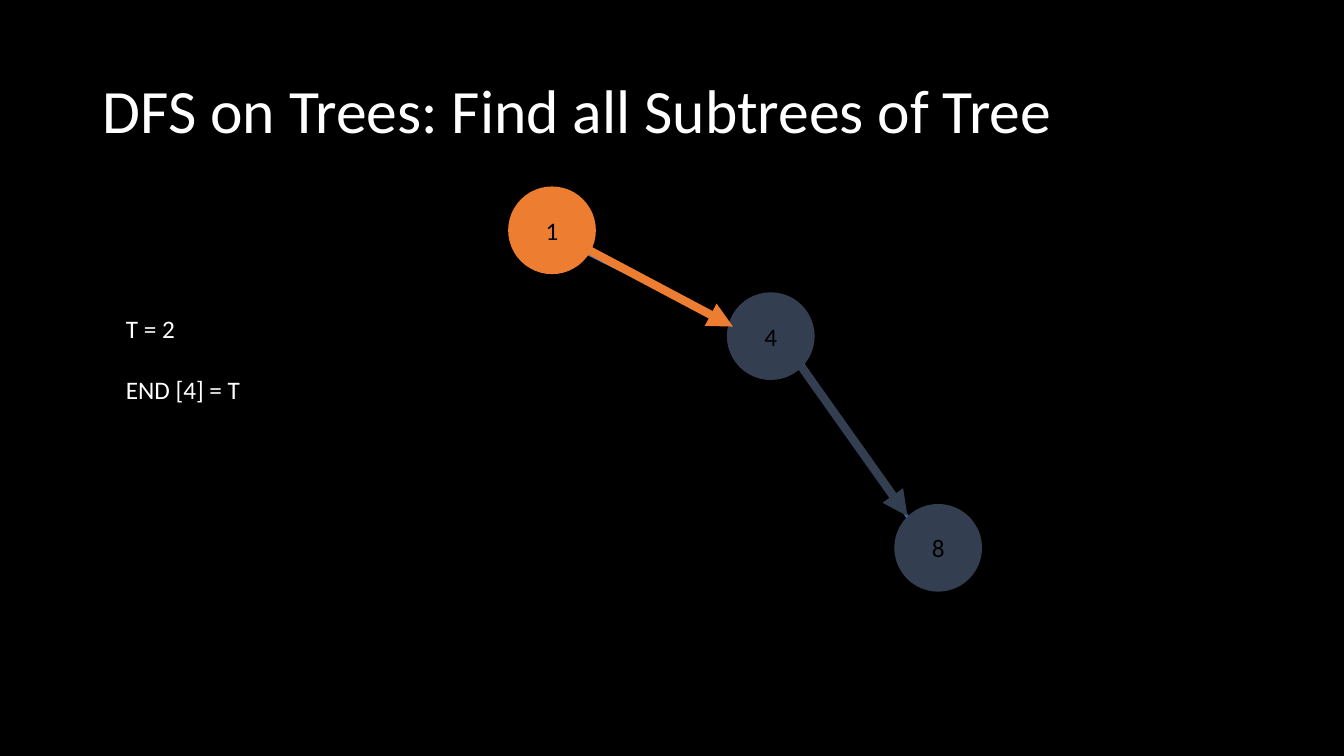
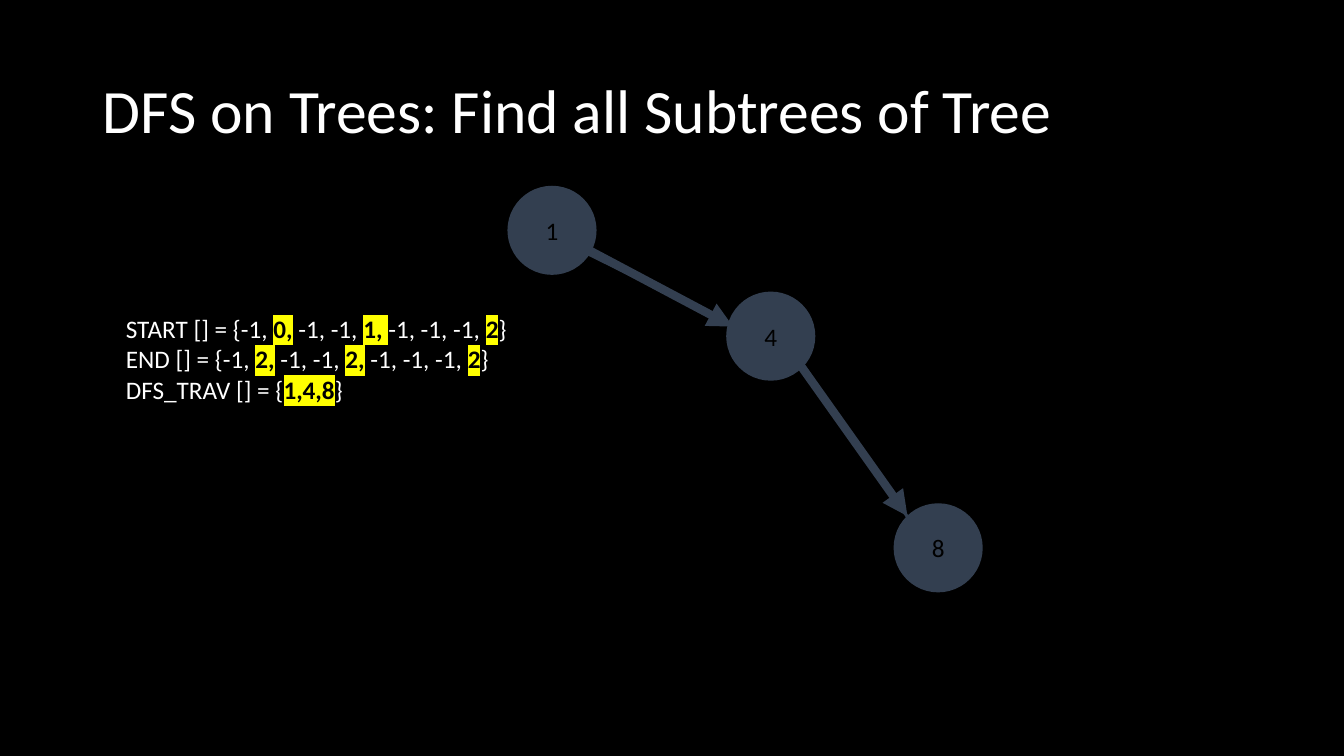
import pptx
import pptx.dml.color
import pptx.enum.shapes
import pptx.enum.text
import pptx.oxml.ns
import pptx.util
import lxml.etree

Inches = pptx.util.Inches
Pt = pptx.util.Pt

COLORS = {
    "black": "000000",
    "white": "FFFFFF",
    "orange": "ED7D31",
    "slate": "333F50",
    "blue": "4472C4",
    "yellow": "FFFF00",
}
FONT = "Calibri"
TITLE = "DFS on Trees: Find all Subtrees of Tree"
NODE_SIZE = 0.87
NODES = [("1", 5.04, 1.85), ("4", 7.21, 2.9), ("8", 8.87, 5)]
EDGES = [(5.57, 2.39, 7.46, 3.32), (7.76, 3.32, 9.18, 5.39)]
ARROWS = [(5.8, 2.46, 7.27, 3.24), (7.95, 3.64, 9, 5.12)]

SLIDES = [
    {
        "nodes": ["orange", "slate", "slate"],
        "arrows": ["orange", "slate"],
        "edge": "blue",
        "outlined": False,
        "gap": 22,
        "lines": ["T = 2", "END [4] = T"],
    },
    {
        "nodes": ["slate"] * 3,
        "arrows": ["slate"] * 2,
        "edge": "slate",
        "outlined": True,
        "gap": 0,
        "lines": [
            "START [] = {-1, |0,| -1, -1, |1, |-1, -1, -1, |2|}",
            "END [] = {-1, |2,| -1, -1, |2,| -1, -1, -1, |2|}",
            "DFS_TRAV [] = {|1,4,8|}",
        ],
    },
]


def rgb(name):
    return pptx.dml.color.RGBColor.from_string(COLORS[name])


def add_line(shapes, ends, color, width):
    line = shapes.add_connector(
        pptx.enum.shapes.MSO_CONNECTOR.STRAIGHT, *[Inches(value) for value in ends]
    )
    line.line.color.rgb = rgb(color)
    line.line.width = Pt(width)
    lxml.etree.SubElement(line._element.spPr, pptx.oxml.ns.qn("a:effectLst"))
    return line


presentation = pptx.Presentation()
presentation.slide_width = Inches(13.33)
presentation.slide_height = Inches(7.5)
background = presentation.slide_master.background.fill
background.solid()
background.fore_color.rgb = rgb("black")

for content in SLIDES:
    slide = presentation.slides.add_slide(presentation.slide_layouts[5])

    title = slide.shapes.title
    title.left, title.top = Inches(0.92), Inches(0.4)
    title.width, title.height = Inches(11.5), Inches(1.45)
    title.text_frame.text = TITLE
    title.text_frame.vertical_anchor = pptx.enum.text.MSO_ANCHOR.MIDDLE
    paragraph = title.text_frame.paragraphs[0]
    paragraph.alignment = pptx.enum.text.PP_ALIGN.LEFT
    paragraph.line_spacing = 0.9
    paragraph.font.name = FONT
    paragraph.font.size = Pt(44)
    paragraph.font.color.rgb = rgb("white")

    tree = slide.shapes.add_group_shape()
    for ends in EDGES:
        add_line(tree.shapes, ends, content["edge"], 2.25)
    for (label, left, top), color in zip(NODES, content["nodes"]):
        node = tree.shapes.add_shape(
            pptx.enum.shapes.MSO_SHAPE.OVAL,
            Inches(left), Inches(top), Inches(NODE_SIZE), Inches(NODE_SIZE),
        )
        node.shadow.inherit = False
        node.fill.solid()
        node.fill.fore_color.rgb = rgb(color)
        if content["outlined"]:
            node.line.color.rgb = rgb(color)
            node.line.width = Pt(1)
        else:
            node.line.fill.background()
        node.text_frame.text = label
        node.text_frame.vertical_anchor = pptx.enum.text.MSO_ANCHOR.MIDDLE
        paragraph = node.text_frame.paragraphs[0]
        paragraph.alignment = pptx.enum.text.PP_ALIGN.CENTER
        paragraph.font.name = FONT
        paragraph.font.size = Pt(18)
        paragraph.font.color.rgb = rgb("black")

    for ends, color in zip(ARROWS, content["arrows"]):
        arrow = add_line(slide.shapes, ends, color, 6)
        lxml.etree.SubElement(
            arrow.line._get_or_add_ln(), pptx.oxml.ns.qn("a:tailEnd"), type="triangle"
        )

    state = slide.shapes.add_textbox(Inches(1.15), Inches(3.06), Inches(4.1), Inches(1.31))
    state.text_frame.word_wrap = True
    for index, text in enumerate(content["lines"]):
        if index == 0:
            paragraph = state.text_frame.paragraphs[0]
        else:
            paragraph = state.text_frame.add_paragraph()
            paragraph.space_before = Pt(content["gap"])
        paragraph.font.name = FONT
        paragraph.font.size = Pt(18)
        for position, part in enumerate(text.split("|")):
            run = paragraph.add_run()
            run.text = part
            highlighted = position % 2 == 1
            run.font.color.rgb = rgb("black" if highlighted else "white")
            if highlighted:
                run.font.bold = True
                highlight = lxml.etree.SubElement(
                    run.font._element if hasattr(run.font, "_element") else run._r.get_or_add_rPr(),
                    pptx.oxml.ns.qn("a:highlight"),
                )
                lxml.etree.SubElement(
                    highlight, pptx.oxml.ns.qn("a:srgbClr"), val=COLORS["yellow"]
                )

presentation.save("out.pptx")
